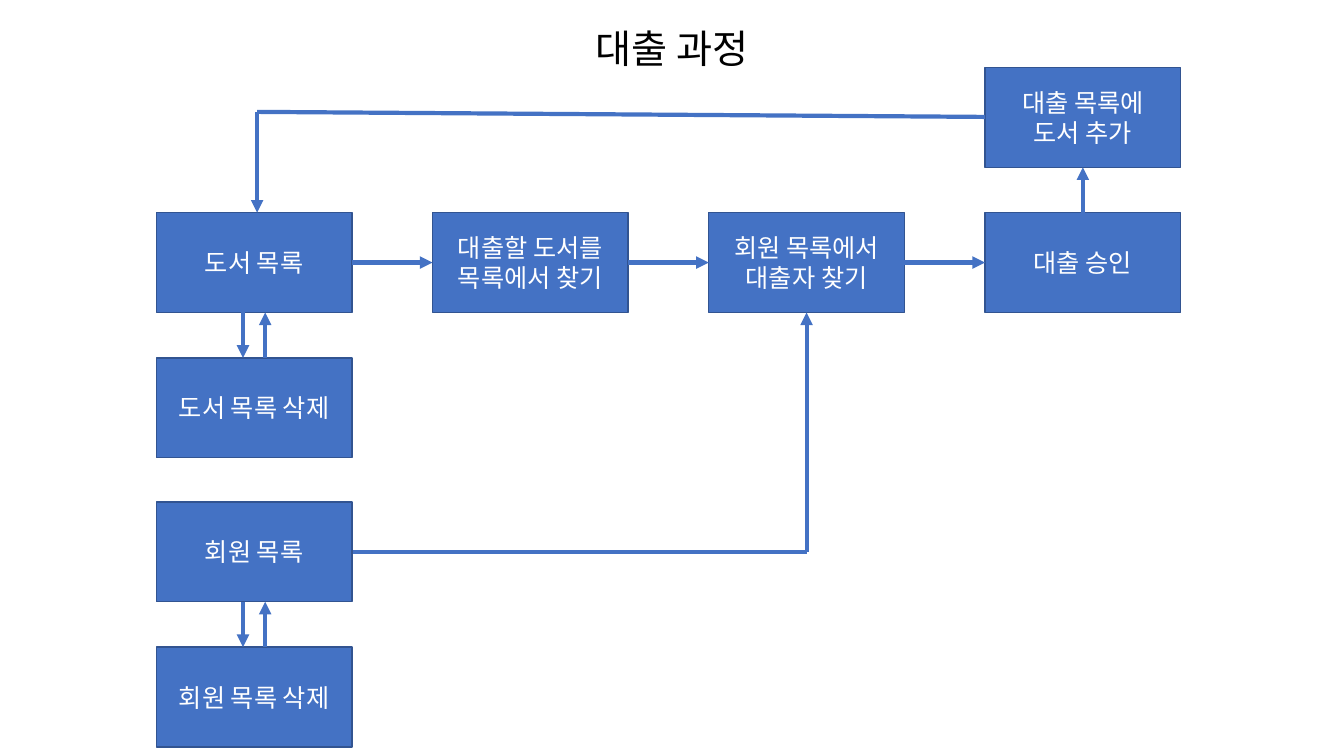
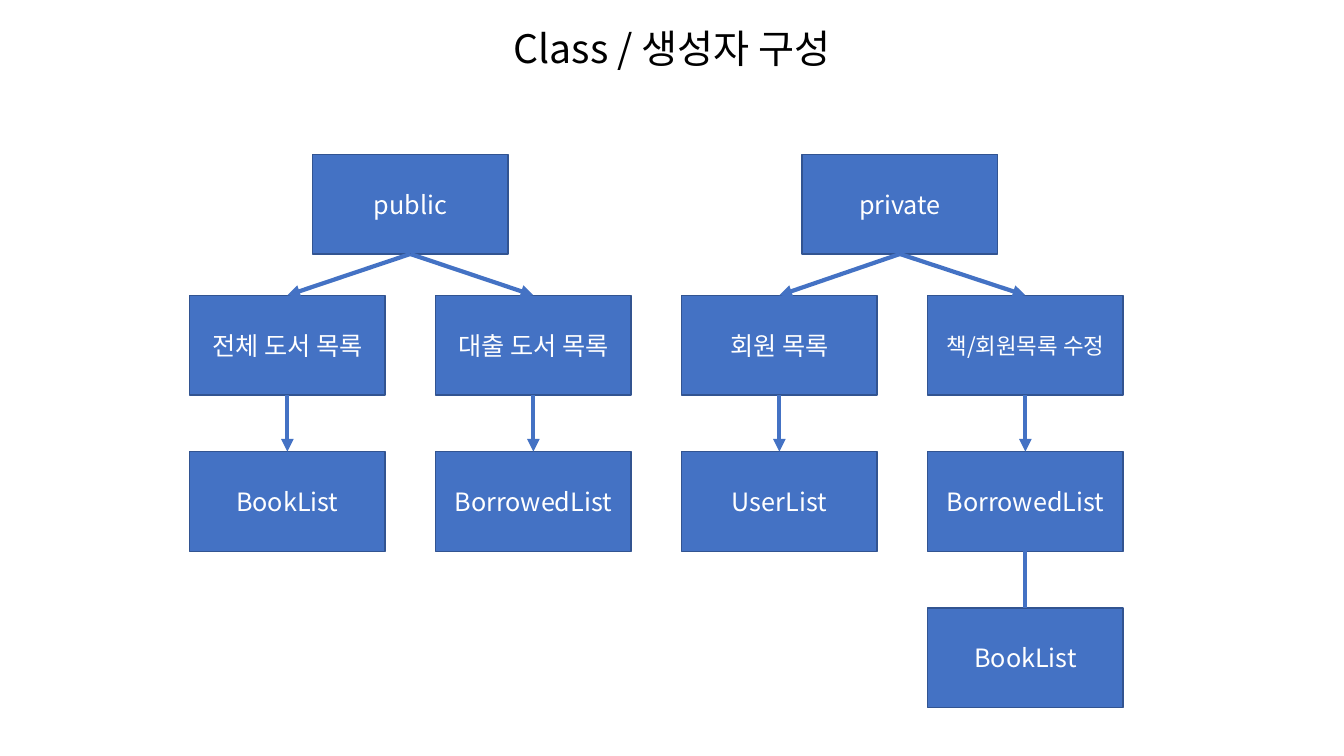
from pptx import Presentation
from pptx.dml.color import RGBColor
from pptx.enum.shapes import MSO_CONNECTOR, MSO_SHAPE
from pptx.enum.text import MSO_ANCHOR, MSO_AUTO_SIZE, PP_ALIGN
from pptx.oxml.ns import qn
from pptx.util import Inches, Pt
from lxml.etree import SubElement

BLUE = RGBColor(0x44, 0x72, 0xC4)
DARK_BLUE = RGBColor(0x32, 0x54, 0x91)
WHITE = RGBColor(0xFF, 0xFF, 0xFF)
BLACK = RGBColor(0, 0, 0)
FONT = "Noto Sans CJK KR"
BOX_W, BOX_H = 1.94, 0.99
TOP, LEFT, BOTTOM, RIGHT = range(4)

LOAN = {
    "title": "대출 과정",
    "left": 1.55,
    "pitch": 2.74,
    "tops": [0.67, 2.11, 3.55, 4.98, 6.42],
    "boxes": {
        "books": (0, 1, "도서 목록"),
        "find book": (1, 1, "대출할 도서를\n목록에서 찾기"),
        "find member": (2, 1, "회원 목록에서\n대출자 찾기"),
        "approve": (3, 1, "대출 승인"),
        "add loan": (3, 0, "대출 목록에\n도서 추가"),
        "delete book": (0, 2, "도서 목록 삭제"),
        "members": (0, 3, "회원 목록"),
        "delete member": (0, 4, "회원 목록 삭제"),
    },
    "links": [
        ("books", RIGHT, "find book", LEFT),
        ("find book", RIGHT, "find member", LEFT),
        ("find member", RIGHT, "approve", LEFT),
        ("approve", TOP, "add loan", BOTTOM),
    ],
    "exchanges": [("books", "delete book"), ("members", "delete member")],
    "routes": [
        [(9.77, 1.16), (2.55, 1.11), (2.55, 2.11)],
        [(3.5, 5.48), (8, 5.48), (8, 3.1)],
    ],
}
CLASSES = {
    "title": "Class / 생성자 구성",
    "left": 1.88,
    "pitch": 2.44,
    "tops": [1.53, 2.93, 4.48, 6.03],
    "boxes": {
        "public": (0.5, 0, "public"),
        "private": (2.49, 0, "private"),
        "all books": (0, 1, "전체 도서 목록"),
        "loans": (1, 1, "대출 도서 목록"),
        "members": (2, 1, "회원 목록"),
        "edit": (3, 1, "책/회원목록 수정", 16),
        "BookList": (0, 2, "BookList"),
        "BorrowedList": (1, 2, "BorrowedList"),
        "UserList": (2, 2, "UserList"),
        "edit BorrowedList": (3, 2, "BorrowedList"),
        "edit BookList": (3, 3, "BookList"),
    },
    "links": [
        ("public", BOTTOM, "all books", TOP),
        ("public", BOTTOM, "loans", TOP),
        ("private", BOTTOM, "members", TOP),
        ("private", BOTTOM, "edit", TOP),
        ("all books", BOTTOM, "BookList", TOP),
        ("loans", BOTTOM, "BorrowedList", TOP),
        ("members", BOTTOM, "UserList", TOP),
        ("edit", BOTTOM, "edit BorrowedList", TOP),
        ("edit BorrowedList", BOTTOM, "edit BookList", TOP, False),
    ],
    "exchanges": [],
    "routes": [],
}


def write(frame, text, size, color):
    frame.word_wrap = True
    frame.text = text
    for paragraph in frame.paragraphs:
        paragraph.alignment = PP_ALIGN.CENTER
        font = paragraph.font
        font.size = Pt(size)
        font.color.rgb = color
        font.name = FONT
        defaults = paragraph._p.pPr.find(qn("a:defRPr"))
        SubElement(defaults, qn("a:ea")).set("typeface", FONT)


def add_title(slide, text):
    title = slide.shapes.add_textbox(Inches(4.41), Inches(0.19), Inches(4.51), Inches(0.57))
    write(title.text_frame, text, 28, BLACK)
    title.text_frame.auto_size = MSO_AUTO_SIZE.SHAPE_TO_FIT_TEXT


def add_box(slide, left, top, text, size=18):
    box = slide.shapes.add_shape(
        MSO_SHAPE.RECTANGLE, Inches(left), Inches(top), Inches(BOX_W), Inches(BOX_H))
    box.shadow.inherit = False
    box.fill.solid()
    box.fill.fore_color.rgb = BLUE
    box.line.color.rgb = DARK_BLUE
    box.line.width = Pt(1)
    box.text_frame.vertical_anchor = MSO_ANCHOR.MIDDLE
    write(box.text_frame, text, size, WHITE)
    return box


def add_line(slide, start, end, arrow=True):
    line = slide.shapes.add_connector(MSO_CONNECTOR.STRAIGHT, *start, *end)
    line.line.color.rgb = BLUE
    line.line.width = Pt(3)
    if arrow:
        SubElement(line.line._get_or_add_ln(), qn("a:tailEnd")).set("type", "triangle")
    SubElement(line._element.spPr, qn("a:effectLst"))
    return line


def add_link(slide, source, source_side, target, target_side, arrow=True):
    line = add_line(slide, (0, 0), (0, 0), arrow)
    line.begin_connect(source, source_side)
    line.end_connect(target, target_side)


def add_exchange(slide, upper, lower):
    center = upper.left + upper.width // 2
    offset = Inches(0.11)
    bottom = upper.top + upper.height
    add_line(slide, (center - offset, bottom), (center - offset, lower.top))
    add_line(slide, (center + offset, lower.top), (center + offset, bottom))


def add_route(slide, points):
    corners = [(Inches(x), Inches(y)) for x, y in points]
    for start, end in zip(corners, corners[1:]):
        add_line(slide, start, end, arrow=end == corners[-1])


def add_diagram(deck, diagram):
    slide = deck.slides.add_slide(deck.slide_layouts[6])
    add_title(slide, diagram["title"])
    boxes = {
        key: add_box(slide, diagram["left"] + column * diagram["pitch"],
                     diagram["tops"][row], *label)
        for key, (column, row, *label) in diagram["boxes"].items()
    }
    for source, source_side, target, *ending in diagram["links"]:
        add_link(slide, boxes[source], source_side, boxes[target], *ending)
    for upper, lower in diagram["exchanges"]:
        add_exchange(slide, boxes[upper], boxes[lower])
    for points in diagram["routes"]:
        add_route(slide, points)


def main():
    deck = Presentation()
    deck.slide_width = Inches(13.33)
    deck.slide_height = Inches(7.5)
    for diagram in (LOAN, CLASSES):
        add_diagram(deck, diagram)
    deck.save("out.pptx")


if __name__ == "__main__":
    main()
